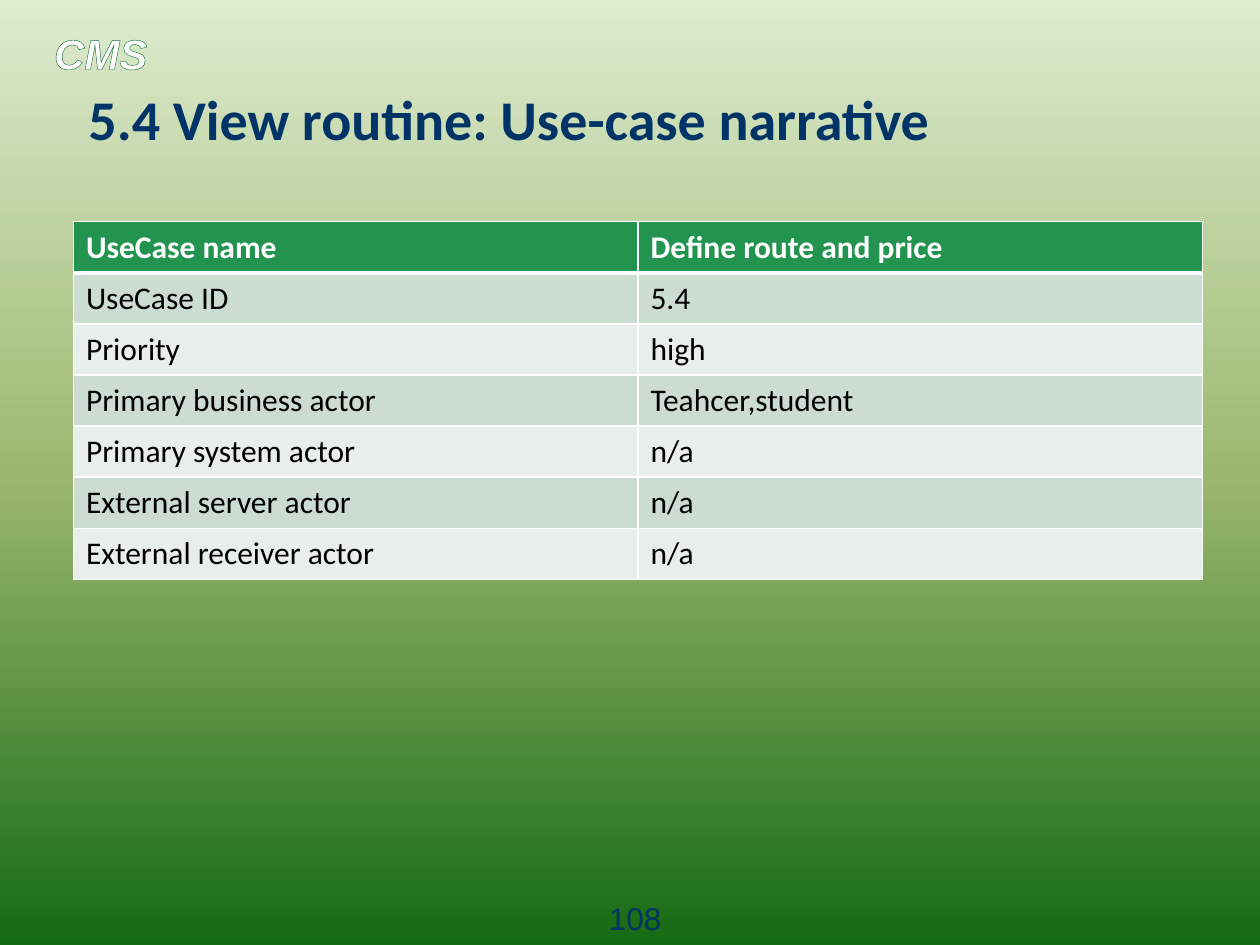
from copy import deepcopy

from lxml.etree import SubElement
from pptx import Presentation
from pptx.dml.color import RGBColor
from pptx.enum.text import MSO_ANCHOR, MSO_AUTO_SIZE, PP_ALIGN
from pptx.oxml.ns import qn
from pptx.util import Cm, Pt

WHITE = RGBColor(0xFF, 0xFF, 0xFF)
BLACK = RGBColor(0x00, 0x00, 0x00)
NAVY = RGBColor(0x00, 0x33, 0x66)
OUTLINE_GREEN = RGBColor(0x19, 0x6F, 0x3C)
HEADER_GREEN = RGBColor(0x22, 0x94, 0x50)
BANDS = [RGBColor(0xCD, 0xDC, 0xD0), RGBColor(0xE8, 0xEE, 0xE9)]
BACKGROUND = [
    (0, RGBColor(0xDD, 0xEB, 0xCF)),
    (0.5, RGBColor(0x9C, 0xB8, 0x6E)),
    (1, RGBColor(0x15, 0x6B, 0x13)),
]

USE_CASE = [
    ("UseCase name", "Define route and price"),
    ("UseCase ID", "5.4"),
    ("Priority", "high"),
    ("Primary business actor", "Teahcer,student"),
    ("Primary system actor", "n/a"),
    ("External server actor", "n/a"),
    ("External receiver actor", "n/a"),
]


class SlideBuilder:
    BRAND = {"name": "Arial", "size": Pt(24), "bold": True, "italic": True}
    TITLE = {"name": "Calibri", "size": Pt(32), "bold": True}
    NUMBER = {"name": "Arial", "size": Pt(18)}
    HEADER = {"name": "Calibri", "size": Pt(18), "bold": True}
    BODY = {"name": "Calibri", "size": Pt(18), "bold": False}

    def __init__(self, deck):
        self.page = deck.slides.add_slide(deck.slide_layouts[5])

    def background(self, stops):
        fill = self.page.background.fill
        fill.gradient()
        fill.gradient_angle = 270
        first = fill.gradient_stops[0]._gs
        first.addnext(deepcopy(first))
        for stop, (position, color) in zip(fill.gradient_stops, stops):
            stop.position = position
            stop.color.rgb = color

    def add_span(self, frame, text, style, color, align=PP_ALIGN.LEFT):
        para = frame.paragraphs[0]
        para.alignment = align
        span = para.add_run()
        span.text = text
        for key, value in style.items():
            setattr(span.font, key, value)
        span.font.color.rgb = color
        return span

    def title(self, text, left, top, width, height):
        box = self.page.shapes.title
        box.left, box.top, box.width, box.height = left, top, width, height
        frame = box.text_frame
        frame.auto_size = MSO_AUTO_SIZE.NONE
        frame.vertical_anchor = MSO_ANCHOR.MIDDLE
        self.add_span(frame, text, self.TITLE, NAVY, PP_ALIGN.RIGHT)

    def text(self, text, left, top, width, height, style, color, align=PP_ALIGN.LEFT):
        frame = self.page.shapes.add_textbox(left, top, width, height).text_frame
        frame.word_wrap = True
        return self.add_span(frame, text, style, color, align)

    def outline(self, span, color, width):
        # Text outline goes first in the run properties
        properties = span.font._element if hasattr(span.font, "_element") else span._r.get_or_add_rPr()
        properties.insert(0, self.line(properties, "a:ln", color, width))

    def line(self, parent, tag, color, width):
        line = SubElement(parent, qn(tag), w=str(int(width)))
        fill = SubElement(line, qn("a:solidFill"))
        SubElement(fill, qn("a:srgbClr"), val=str(color))
        return line

    def table(self, rows, left, top, width, height):
        shape = self.page.shapes.add_table(len(rows), len(rows[0]), left, top, width, height)
        for r, row in enumerate(rows):
            header = r == 0
            borders = {
                "a:lnL": Pt(1),
                "a:lnR": Pt(1),
                "a:lnT": Pt(3) if r == 1 else Pt(1),
                "a:lnB": Pt(3) if header else Pt(1),
            }
            for c, text in enumerate(row):
                cell = shape.table.cell(r, c)
                properties = cell._tc.get_or_add_tcPr()
                for tag, thickness in borders.items():
                    self.line(properties, tag, WHITE, thickness)
                cell.fill.solid()
                cell.fill.fore_color.rgb = HEADER_GREEN if header else BANDS[(r - 1) % 2]
                self.add_span(cell.text_frame, text,
                              self.HEADER if header else self.BODY,
                              WHITE if header else BLACK)


def main():
    deck = Presentation()
    deck.slide_width, deck.slide_height = Cm(25.4), Cm(19.05)
    builder = SlideBuilder(deck)
    builder.background(BACKGROUND)

    # Brand mark and heading
    brand = builder.text("CMS", Cm(0.84), Cm(0.43), Cm(3.81), Cm(1.27), builder.BRAND, WHITE)
    builder.outline(brand, OUTLINE_GREEN, Pt(1))
    builder.title("5.4 View routine: Use-case narrative ", Cm(1.48), Cm(1.7), Cm(17.78), Cm(1.35))

    # Page number
    builder.text("108", Cm(11.64), Cm(17.99), Cm(2.33), Cm(0.74),
                 builder.NUMBER, NAVY, PP_ALIGN.CENTER)

    # Use-case narrative
    builder.table(USE_CASE, Cm(1.48), Cm(4.47), Cm(22.76), Cm(7.21))

    deck.save("out.pptx")


if __name__ == "__main__":
    main()
